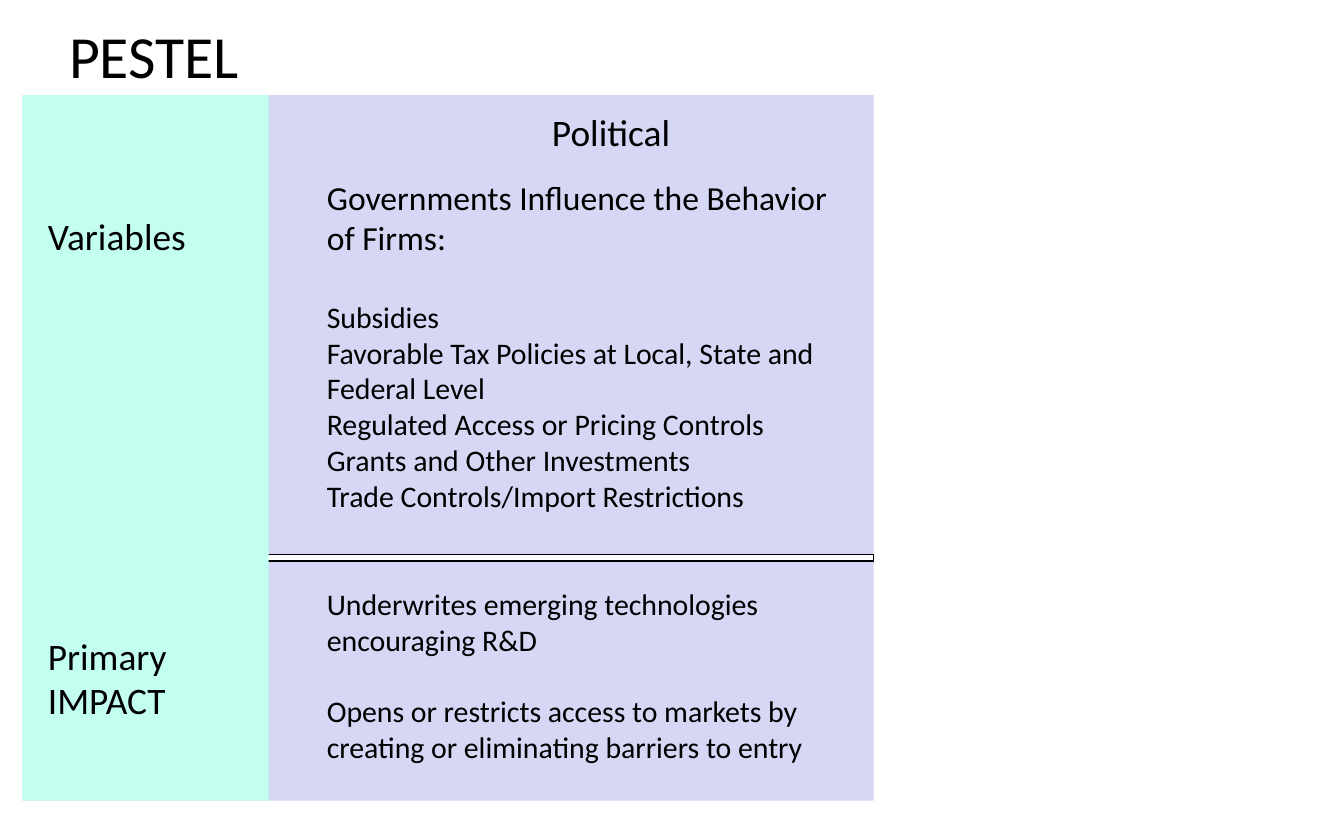
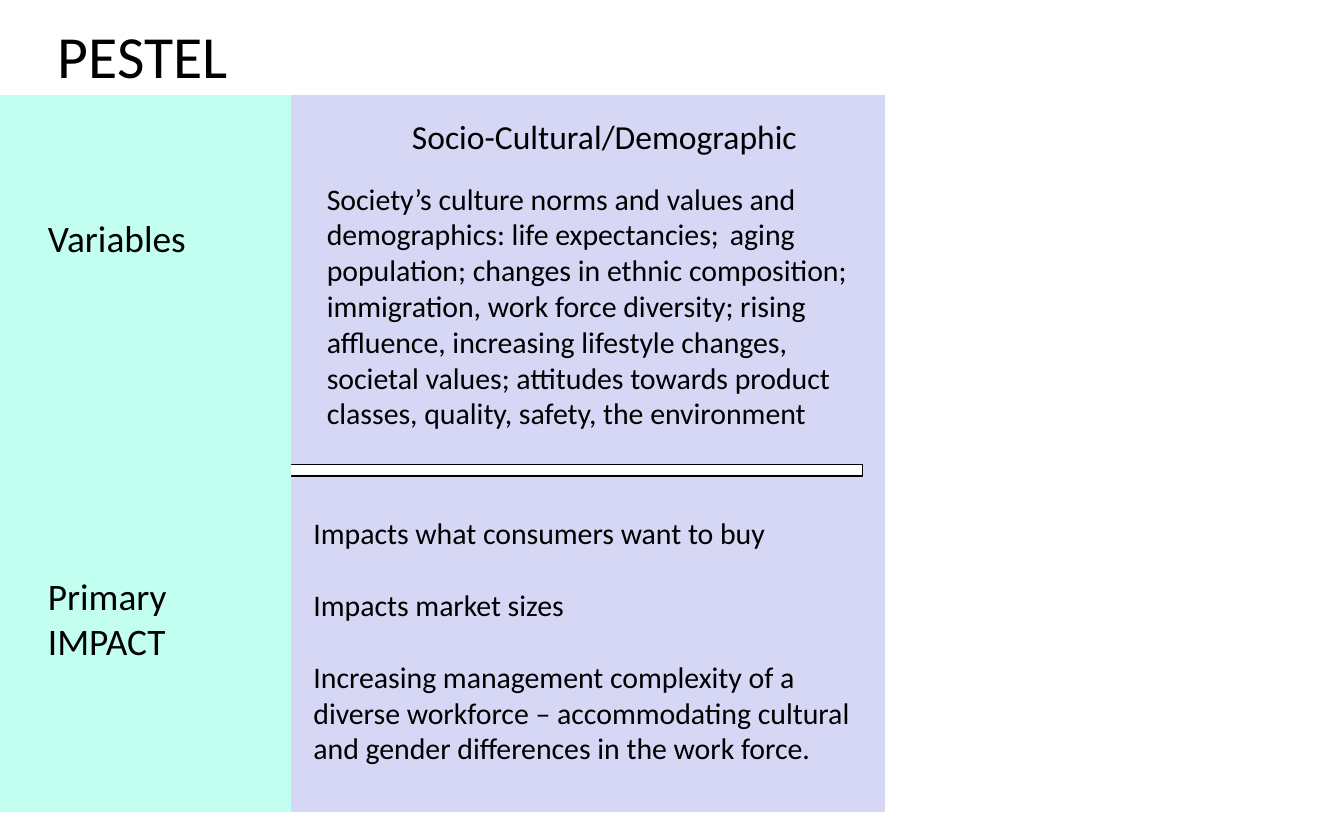
"""Builds two PESTEL slides: political, and socio-cultural/demographic."""
from dataclasses import dataclass

import pptx
import pptx.dml.color
import pptx.enum.shapes
import pptx.enum.text
import pptx.oxml.ns
import pptx.util
from lxml import etree


@dataclass(frozen=True)
class Theme:
    font: str = "Calibri"
    ink: str = "000000"
    panel: str = "D6D6F5"
    band: str = "C2FFF0"
    divider: str = "FFFFFF"
    title: float = 32
    heading: float = 20
    lead: float = 18
    body: float = 16
    outline: float = 0.75


@dataclass(frozen=True)
class Box:
    col: float
    row: float
    cols: float
    rows: float


@dataclass(frozen=True)
class Para:
    text: str
    size: float
    before: float = 0


@dataclass(frozen=True)
class Block:
    box: Box
    paras: tuple[Para, ...]
    wrap: bool = True


@dataclass(frozen=True)
class Page:
    panel: Box
    divider: Box
    band: Box
    title: Box
    labels: Box
    label_gap: float
    blocks: tuple[Block, ...]


THEME = Theme()
COLS, ROWS = 120, 75
WIDTH, HEIGHT = pptx.util.Inches(10), pptx.util.Inches(6.25)
TAB_STOPS = range(1, 8)
BLANK_LAYOUT = 6
BODY_GAP = 19.2

PAGES = (
    Page(
        panel=Box(2, 8.5, 76, 63),
        divider=Box(6, 49.5, 72, 0.6),
        band=Box(2, 8.5, 22, 63),
        title=Box(5, 1.5, 78, 6.7),
        labels=Box(3.1, 18.4, 14.9, 46.8),
        label_gap=201,
        blocks=(
            Block(Box(48.1, 9.2, 13.1, 5.3), (Para("Political", THEME.heading),), wrap=False),
            Block(Box(28, 15.2, 50, 31.2), (
                Para("Governments Influence the Behavior of Firms:", THEME.lead),
                Para("Subsidies", THEME.body, 22),
                Para("Favorable Tax Policies at Local, State and Federal Level", THEME.body),
                Para("Regulated Access or Pricing Controls", THEME.body),
                Para("Grants and Other Investments", THEME.body),
                Para("Trade Controls/Import Restrictions", THEME.body),
            )),
            Block(Box(28, 51.7, 50, 17.2), (
                Para("Underwrites emerging technologies encouraging R&D", THEME.body),
                Para("Opens or restricts access to markets by creating or "
                     "eliminating barriers to entry", THEME.body, BODY_GAP),
            )),
        ),
    ),
    Page(
        panel=Box(3, 8.5, 76, 64),
        divider=Box(7, 41.5, 70, 1),
        band=Box(0, 8.5, 26, 64),
        title=Box(4, 1.5, 78, 6.7),
        labels=Box(3.1, 18.6, 14.9, 41.3),
        label_gap=168,
        blocks=(
            Block(Box(35.6, 9.8, 36.8, 4.8),
                  (Para("Socio-Cultural/Demographic", THEME.lead),), wrap=False),
            Block(Box(28, 15.5, 49, 26.9), (
                Para("Society’s culture norms and values and demographics: life expectancies;\t"
                     "aging population; changes in ethnic composition; immigration, work force "
                     "diversity; rising affluence, increasing lifestyle changes, societal values; "
                     "attitudes towards product classes, quality, safety, the environment",
                     THEME.body),
            )),
            Block(Box(26.8, 45.4, 50.3, 24), (
                Para("Impacts what consumers want to buy", THEME.body),
                Para("Impacts market sizes", THEME.body, BODY_GAP),
                Para("Increasing management complexity of a diverse workforce – accommodating "
                     "cultural and gender differences in the work force.", THEME.body, BODY_GAP),
            )),
        ),
    ),
)


def place(box: Box) -> tuple[int, int, int, int]:
    """Turn a box on the grid into slide lengths."""
    return (round(WIDTH * box.col / COLS), round(HEIGHT * box.row / ROWS),
            round(WIDTH * box.cols / COLS), round(HEIGHT * box.rows / ROWS))


def rgb(value: str) -> pptx.dml.color.RGBColor:
    """Read a hexadecimal colour."""
    return pptx.dml.color.RGBColor.from_string(value)


def add_rect(s, box: Box, fill: str, outlined: bool = False) -> None:
    """Draw a flat rectangle, with a thin outline if asked."""
    sp = s.shapes.add_shape(pptx.enum.shapes.MSO_SHAPE.RECTANGLE, *place(box))
    sp.shadow.inherit = False
    sp.fill.solid()
    sp.fill.fore_color.rgb = rgb(fill)
    if outlined:
        sp.line.color.rgb = rgb(THEME.ink)
        sp.line.width = pptx.util.Pt(THEME.outline)
    else:
        sp.line.fill.background()


def add_tabs(p) -> None:
    """Give a paragraph a left tab stop at every inch."""
    qn = pptx.oxml.ns.qn
    tabs = etree.SubElement(p._p.get_or_add_pPr(), qn("a:tabLst"))
    for inch in TAB_STOPS:
        etree.SubElement(tabs, qn("a:tab"), pos=str(pptx.util.Inches(inch)), algn="l")


def add_text(s, block: Block, middle: bool = False) -> None:
    """Write a block of paragraphs in a text box."""
    tf = s.shapes.add_textbox(*place(block.box)).text_frame
    tf.word_wrap = block.wrap
    anchor = pptx.enum.text.MSO_ANCHOR
    tf.vertical_anchor = anchor.MIDDLE if middle else anchor.TOP
    tf.text = "\n".join(para.text for para in block.paras)
    for p, para in zip(tf.paragraphs, block.paras):
        if para.before:
            p.space_before = pptx.util.Pt(para.before)
        if "\t" in para.text:
            add_tabs(p)
        for r in p.runs:
            r.font.name = THEME.font
            r.font.size = pptx.util.Pt(para.size)
            r.font.color.rgb = rgb(THEME.ink)


def add_page(prs, page: Page) -> None:
    """Add one PESTEL slide."""
    s = prs.slides.add_slide(prs.slide_layouts[BLANK_LAYOUT])
    add_rect(s, page.panel, THEME.panel)
    add_rect(s, page.divider, THEME.divider, outlined=True)
    add_rect(s, page.band, THEME.band)
    add_text(s, Block(page.title, (Para("PESTEL", THEME.title),)), middle=True)
    add_text(s, Block(page.labels, (
        Para("Variables", THEME.heading),
        Para("Primary", THEME.heading, page.label_gap),
        Para("IMPACT", THEME.heading),
    ), wrap=False))
    for block in page.blocks:
        add_text(s, block)


def main() -> None:
    """Build and save the presentation."""
    prs = pptx.Presentation()
    prs.slide_width, prs.slide_height = WIDTH, HEIGHT
    for page in PAGES:
        add_page(prs, page)
    prs.save("out.pptx")


if __name__ == "__main__":
    main()
